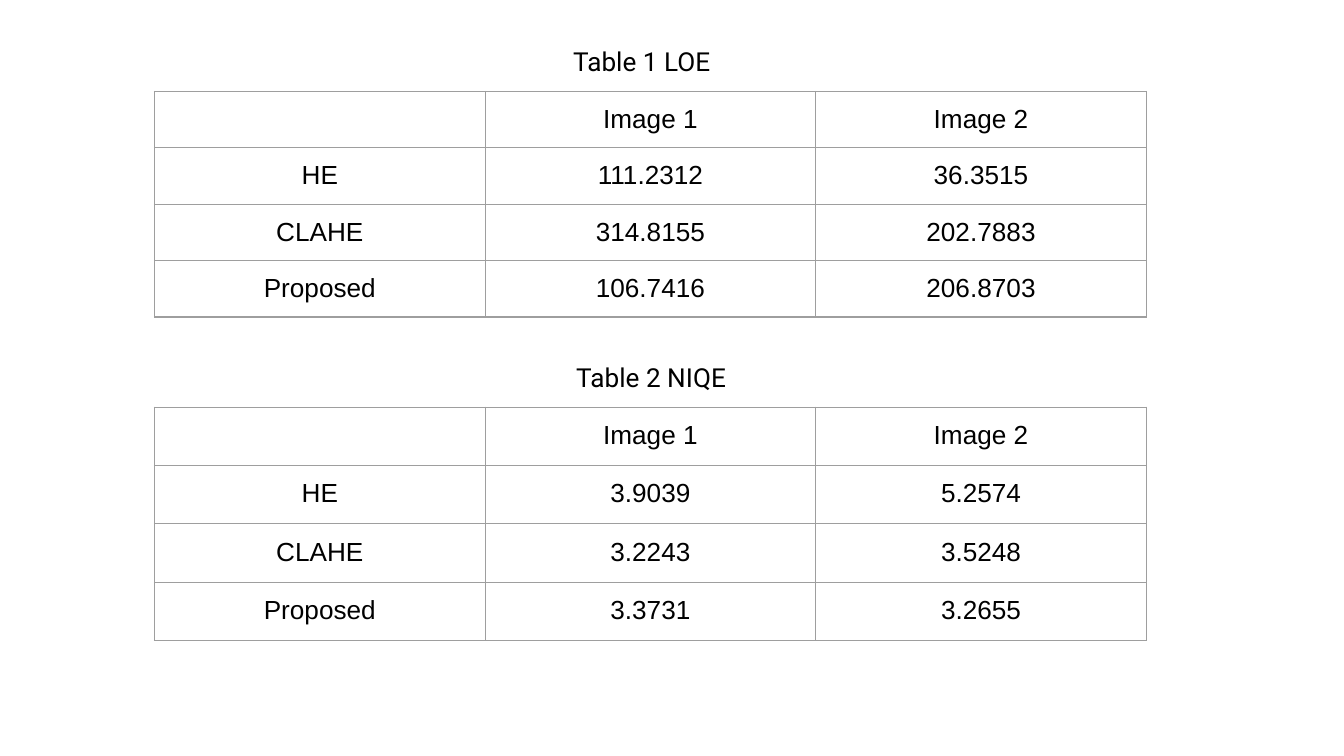
import pptx
import pptx.util
import pptx.dml.color
import pptx.enum.text
import pptx.oxml.ns
import lxml.etree

Inches = pptx.util.Inches
BLACK = "000000"
GREY = "9E9E9E"
SIZE = 14
PAD = 0.1

# Each entry: caption, caption left, caption top, table top, row height, values
TABLES = [
    ("Table 1 LOE", 3.8, 0.24, 0.68, 0.42,
     [("111.2312", "36.3515"),
      ("314.8155", "202.7883"),
      ("106.7416", "206.8703")]),
    ("Table 2 NIQE", 3.87, 2.59, 3.03, 0.43,
     [("3.9039", "5.2574"),
      ("3.2243", "3.5248"),
      ("3.3731", "3.2655")]),
]
HEADS = ("", "Image 1", "Image 2")
METHODS = ("HE", "CLAHE", "Proposed")


def color(code):
    return pptx.dml.color.RGBColor.from_string(code)


def add_tag(parent, name, **attrs):
    return lxml.etree.SubElement(parent, pptx.oxml.ns.qn(name), **attrs)


def style(frame, face):
    """Centre the one paragraph of a frame and format its runs."""
    para = frame.paragraphs[0]
    para.alignment = pptx.enum.text.PP_ALIGN.CENTER
    for run in para.runs:
        run.font.name = face
        run.font.size = pptx.util.Pt(SIZE)
        run.font.color.rgb = color(BLACK)
    # Keeps an empty cell from growing its row
    end = add_tag(para._p, "a:endParaRPr", sz=str(SIZE * 100))
    add_tag(end, "a:latin", typeface=face)


def pad(item):
    """Give a cell or a text frame equal insets."""
    item.margin_left = item.margin_right = Inches(PAD)
    item.margin_top = item.margin_bottom = Inches(PAD)


def add_label(slide, text, left, top):
    box = slide.shapes.add_textbox(
        Inches(left), Inches(top), Inches(1.95), Inches(0.44))
    frame = box.text_frame
    frame.word_wrap = True
    pad(frame)
    frame.text = text
    style(frame, "Roboto")


def add_edges(cell):
    props = cell._tc.get_or_add_tcPr()
    for side in ("a:lnL", "a:lnR", "a:lnT", "a:lnB"):
        line = add_tag(props, side, w=str(pptx.util.Pt(0.75)))
        fill = add_tag(line, "a:solidFill")
        add_tag(fill, "a:srgbClr", val=GREY)


def add_grid(slide, rows, top, height):
    width = 2.46
    table = slide.shapes.add_table(
        len(rows), len(HEADS), Inches(1.15), Inches(top),
        Inches(width * len(HEADS)), Inches(height * len(rows))).table
    table.first_row = False
    table.horz_banding = False
    for col in table.columns:
        col.width = Inches(width)
    for r, row in enumerate(rows):
        table.rows[r].height = Inches(height)
        for c, text in enumerate(row):
            cell = table.cell(r, c)
            pad(cell)
            cell.text_frame.text = text
            style(cell.text_frame, "Arial")
            add_edges(cell)
            cell.fill.background()


def main():
    deck = pptx.Presentation()
    # Widescreen, 16 to 9
    deck.slide_width = Inches(10)
    deck.slide_height = deck.slide_width * 9 // 16
    slide = deck.slides.add_slide(deck.slide_layouts[6])

    # Captions and result tables
    for text, left, top, start, height, values in TABLES:
        rows = [HEADS] + [(name, *pair) for name, pair in zip(METHODS, values)]
        add_grid(slide, rows, start, height)
        add_label(slide, text, left, top)

    deck.save("out.pptx")


if __name__ == "__main__":
    main()
